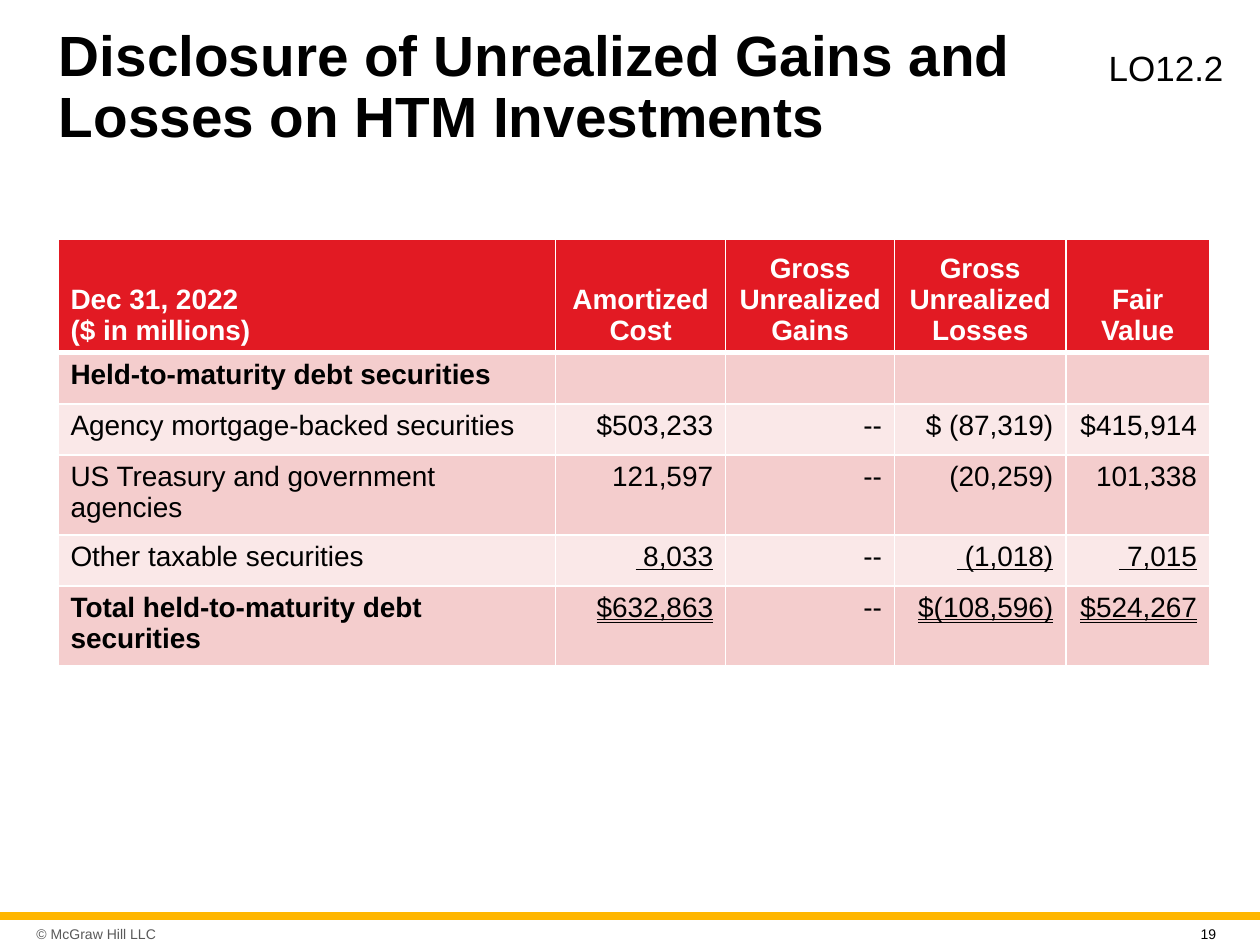
from lxml.etree import SubElement
from pptx import Presentation
from pptx.dml.color import RGBColor
from pptx.enum.shapes import MSO_SHAPE
from pptx.enum.text import MSO_ANCHOR, MSO_UNDERLINE, PP_ALIGN
from pptx.oxml.ns import qn
from pptx.util import Pt

HUES = {
    "white": "FFFFFF", "black": "000000", "gray": "595959", "gold": "FFB600",
    "red": "E21A23", "rose": "F4CDCD", "blush": "FAE8E8",
}
COLS = [284.4, 97.2, 96.5, 97.9, 82.1]
ROW = 29.2
HEAD = ["Dec 31, 2022\n($ in millions)", "Amortized Cost",
        "Gross Unrealized Gains", "Gross Unrealized Losses", "Fair Value"]
BODY = [
    ["Held-to-maturity debt securities", "", "", "", ""],
    ["Agency mortgage-backed securities", "$503,233", "--", "$ (87,319)", "$415,914"],
    ["US Treasury and government agencies", "121,597", "--", "(20,259)", "101,338"],
    ["Other taxable securities", " 8,033", "--", " (1,018)", " 7,015"],
    ["Total held-to-maturity debt securities", "$632,863", "--", "$(108,596)", "$524,267"],
]
BOLD = {1, 5}
LINES = {4: MSO_UNDERLINE.SINGLE_LINE, 5: MSO_UNDERLINE.DOUBLE_LINE}


def hue(name):
    return RGBColor.from_string(HUES[name])


def style(item, look):
    for key, value in look.items():
        setattr(item, key, value)


def write(frame, text, size, color="black", para={}, **look):
    frame.text = text
    for part in frame.paragraphs:
        style(part, para)
        for run in part.runs:
            style(run.font, {"name": "Arial", "size": Pt(size), **look})
            run.font.color.rgb = hue(color)


def add_text(slide, area, text, size, frame={}, **look):
    box = slide.shapes.add_textbox(*map(Pt, area))
    style(box.text_frame, {"word_wrap": True, **frame})
    write(box.text_frame, text, size, **look)


def add_bar(slide, area, color):
    bar = slide.shapes.add_shape(MSO_SHAPE.RECTANGLE, *map(Pt, area))
    bar.shadow.inherit = False
    bar.fill.solid()
    bar.fill.fore_color.rgb = hue(color)
    bar.line.fill.background()


def edge(cell, top, base):
    props = cell._tc.get_or_add_tcPr()
    for tag, width in {"a:lnL": 1, "a:lnR": 1, "a:lnT": top, "a:lnB": base}.items():
        line = SubElement(props, qn(tag), w=str(Pt(width)))
        SubElement(SubElement(line, qn("a:solidFill")), qn("a:srgbClr"), val=HUES["white"])


def paint(cell, color, top=1, base=1):
    edge(cell, top, base)
    cell.fill.solid()
    cell.fill.fore_color.rgb = hue(color)


def add_head(table):
    for col, text in enumerate(HEAD):
        cell = table.cell(0, col)
        paint(cell, "red", base=3)
        cell.vertical_anchor = MSO_ANCHOR.BOTTOM
        side = PP_ALIGN.CENTER if col else PP_ALIGN.LEFT
        write(cell.text_frame, text, 16, "white", {"alignment": side}, bold=True)


def add_body(table):
    for row, texts in enumerate(BODY, 1):
        for col, text in enumerate(texts):
            cell = table.cell(row, col)
            paint(cell, "rose" if row % 2 else "blush", top=3 if row == 1 else 1)
            side = PP_ALIGN.RIGHT if col else PP_ALIGN.LEFT
            rule = LINES.get(row) if col and text != "--" else None
            write(cell.text_frame, text, 16, para={"alignment": side},
                  bold=col == 0 and row in BOLD, underline=rule)


def add_grid(slide, left, top):
    count = len(BODY) + 1
    area = (left, top, sum(COLS), ROW * count)
    table = slide.shapes.add_table(count, len(COLS), *map(Pt, area)).table
    for col, width in zip(table.columns, COLS):
        col.width = Pt(width)
    for row in table.rows:
        row.height = Pt(ROW)
    add_head(table)
    add_body(table)


def main():
    deck = Presentation()
    style(deck, {"slide_width": Pt(720), "slide_height": Pt(540)})
    slide = deck.slides.add_slide(deck.slide_layouts[6])
    middle = {"vertical_anchor": MSO_ANCHOR.MIDDLE}
    sides = ("left", "right", "top", "bottom")
    tight = {f"margin_{side}": Pt(3.6) for side in sides}

    add_bar(slide, (0, 521.2, 720, 4.4), "gold")
    add_text(slide, (17.2, 525, 97.2, 17.2), "© McGraw Hill LLC", 8,
             {**middle, **tight}, color="gray")
    add_text(slide, (26.6, 15.1, 568.8, 71.3),
             "Disclosure of Unrealized Gains and Losses on HTM Investments",
             32.4, middle, para={"line_spacing": 0.9}, bold=True)
    add_text(slide, (626.4, 23, 82.1, 29.5), "LO12.2", 20)
    add_grid(slide, 33.1, 136.8)
    add_text(slide, (679, 525.6, 28.1, 13), "19", 8)
    deck.save("out.pptx")


if __name__ == "__main__":
    main()
